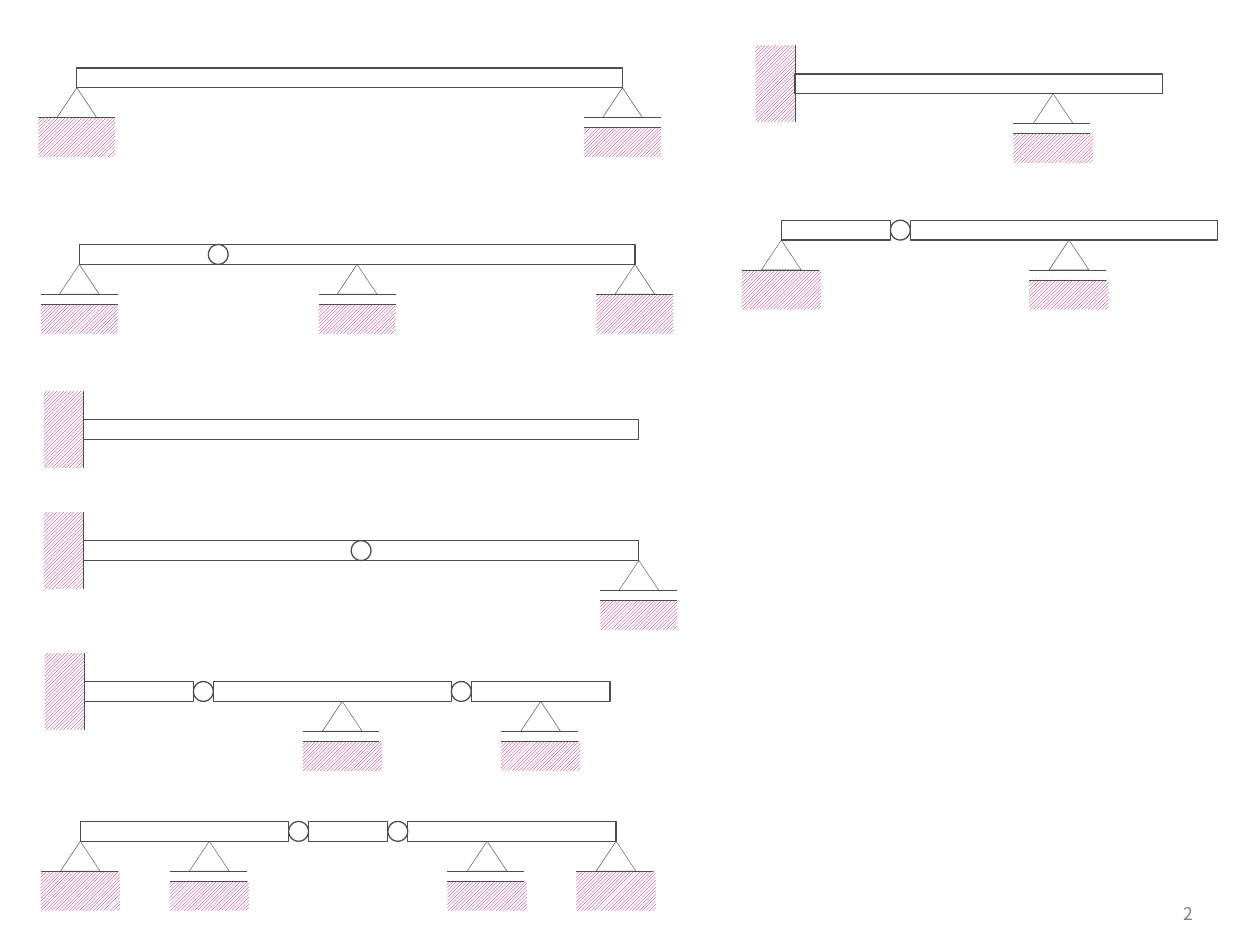
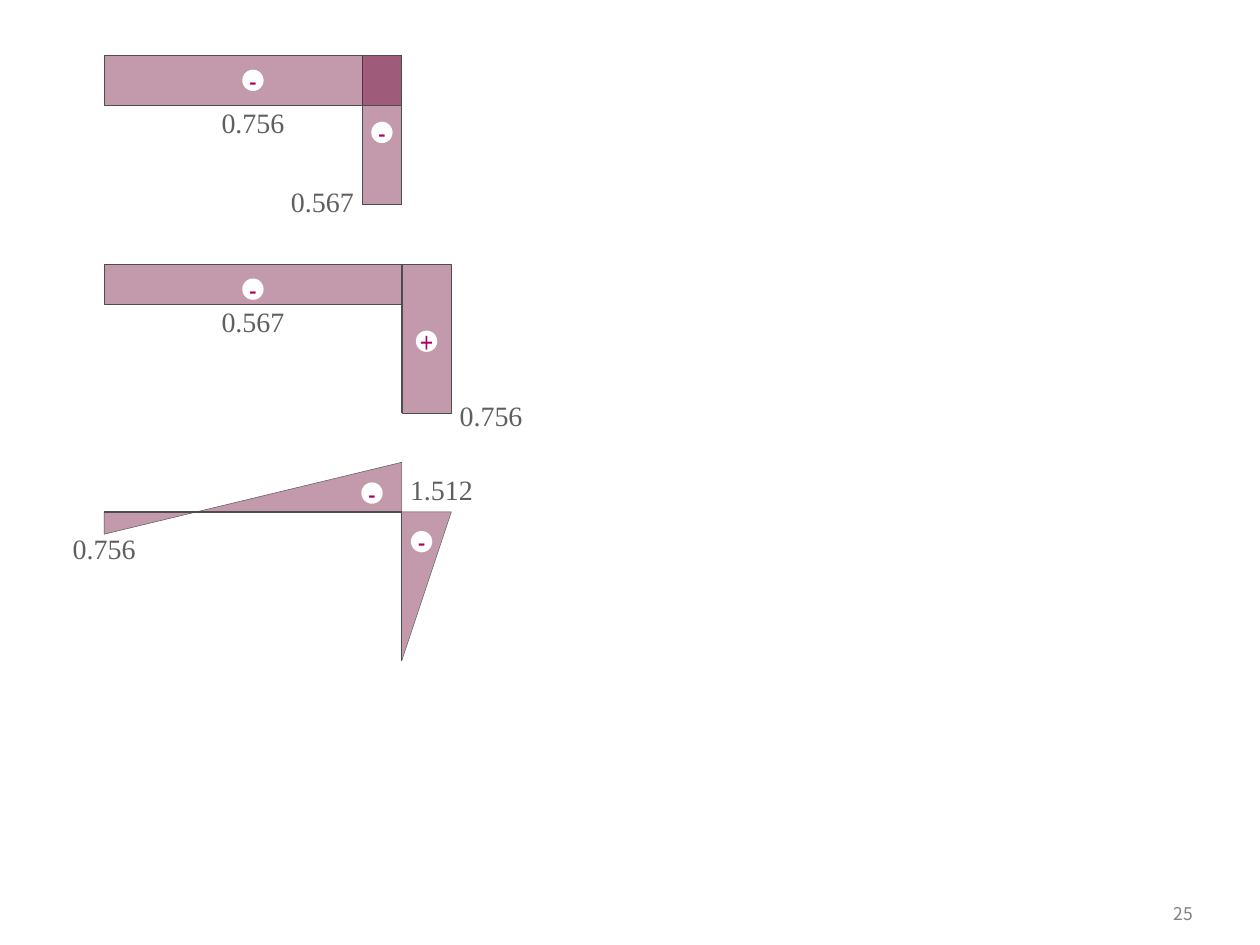
from dataclasses import dataclass
from typing import NamedTuple

from lxml import etree
from pptx import Presentation
from pptx import util as u
from pptx.dml.color import RGBColor
from pptx.enum import dml, shapes, text
from pptx.oxml.ns import qn

Cm = u.Cm
PRESET = shapes.MSO_SHAPE


@dataclass(frozen=True)
class Theme:
    """Colours, fonts and sizes shared by both slides."""
    ink: RGBColor = RGBColor(0x4D, 0x4D, 0x4D)
    accent: RGBColor = RGBColor(0xA9, 0x01, 0x65)
    area: RGBColor = RGBColor(0x6B, 0x01, 0x31)
    paper: RGBColor = RGBColor(0xFF, 0xFF, 0xFF)
    value: RGBColor = RGBColor(0x5F, 0x5F, 0x5F)
    page: RGBColor = RGBColor(0x80, 0x80, 0x80)
    area_opacity: int = 40
    thin: float = 0.25
    normal: float = 0.75
    page_font: str = "Noto Sans CJK KR"
    sign_font: str = "Arial Narrow"
    value_font: str = "Times New Roman"
    page_size: int = 10
    label_size: int = 16


THEME = Theme()

# Sizes in centimetres
DEPTH = 0.4          # beam depth and hinge diameter
FOOT_W, FOOT_H = 0.8, 0.6
PLATE = 1.55         # ground line
GROUND = 0.8         # depth of the hatched ground
ROLLER_GAP = 0.2
FRAME_LEFT, FRAME_SPAN, FRAME_HEIGHT = 2.1, 6, 3
BADGE = 0.43
VALUE_W, VALUE_H = 1.6, 0.69


class Support(NamedTuple):
    kind: str        # "pin", "roller" or "clamp"
    offset: float    # distance from the left end of the beam


@dataclass(frozen=True)
class Beam:
    left: float
    top: float
    spans: tuple[float, ...]           # a hinge joins each span to the next
    supports: tuple[Support, ...]
    inner_hinge: float | None = None   # hinge drawn within a span
    ground_width: float = PLATE


class Area(NamedTuple):
    x: float
    y: float
    width: float
    height: float


class Mark(NamedTuple):
    words: str
    x: float
    y: float


@dataclass(frozen=True)
class Frame:
    top: float
    areas: tuple[Area | tuple, ...]    # rectangles or outlines, from the frame's left top
    signs: tuple[Mark, ...]            # by centre
    values: tuple[Mark, ...]           # by left top corner


BEAMS = (
    Beam(1.55, 1.37, (11,), (Support("roller", 11), Support("pin", 0))),
    Beam(1.6, 4.93, (11.2,),
         (Support("roller", 0), Support("roller", 5.6), Support("pin", 11.2)), 2.8),
    Beam(1.68, 8.46, (11.2,), (Support("clamp", 0),)),
    Beam(1.68, 10.9, (11.2,), (Support("roller", 11.2), Support("clamp", 0)), 5.6),
    Beam(15.75, 4.44, (2.2, 6.2), (Support("roller", 5.8), Support("pin", 0)),
         ground_width=1.6),
    Beam(1.7, 13.74, (2.2, 4.8, 2.8),
         (Support("roller", 5.2), Support("clamp", 0), Support("roller", 9.2)),
         ground_width=1.6),
    Beam(1.62, 16.56, (4.2, 1.6, 4.2),
         (Support("roller", 2.6), Support("pin", 0),
          Support("roller", 8.2), Support("pin", 10.8)), ground_width=1.6),
    Beam(16.03, 1.49, (7.4,), (Support("roller", 5.2), Support("clamp", 0)),
         ground_width=1.6),
)

FRAMES = (
    Frame(1.12, (Area(5.2, 0, 0.8, 3), Area(0, 0, 6, 1)),
          (Mark("-", 5.6, 1.55), Mark("-", 3, 0.5)),
          (Mark("0.756", 2.2, 1), Mark("0.567", 3.6, 2.6))),
    Frame(5.33, (Area(6, 0, 1, 3), Area(0, 0, 6, 0.8)),
          (Mark("+", 6.5, 1.55), Mark("-", 3, 0.5)),
          (Mark("0.756", 7, 2.7), Mark("0.567", 2.2, 0.8))),
    Frame(10.32, (((6, 0), (7, 0), (6, 3)), ((0, 0), (6, 0), (6, -1), (0, 0.45))),
          (Mark("-", 6.4, 0.6), Mark("-", 5.4, -0.38)),
          (Mark("0.756", -0.8, 0.4), Mark("1.512", 6, -0.8))),
)


# Drawing tools
def apply_formats(target, formats: dict) -> None:
    for name, setting in formats.items():
        setattr(target, name, setting)


def set_outline(part, width: float) -> None:
    part.line.color.rgb = THEME.ink
    part.line.width = u.Pt(width)


def add_part(group, preset, x: float, y: float, width: float, height: float,
             outline: float | None = None):
    """Add an unfilled shape; without an outline width it has no line."""
    part = group.shapes.add_shape(preset, Cm(x), Cm(y), Cm(width), Cm(height))
    part.shadow.inherit = False
    part.fill.background()
    if outline is None:
        part.line.fill.background()
    else:
        set_outline(part, outline)
    return part


def add_line(group, x1: float, y1: float, x2: float, y2: float, width: float) -> None:
    line = group.shapes.add_connector(
        shapes.MSO_CONNECTOR.STRAIGHT, Cm(x1), Cm(y1), Cm(x2), Cm(y2))
    set_outline(line, width)
    etree.SubElement(line._element.spPr, qn("a:effectLst"))


def write(box, words: str, align, font: dict, colour: RGBColor, frame: dict) -> None:
    apply_formats(box.text_frame, frame)
    paragraph = box.text_frame.paragraphs[0]
    paragraph.alignment = align
    run = paragraph.add_run()
    run.text = words
    apply_formats(run.font, font)
    run.font.color.rgb = colour


def add_page_number(slide, number: int) -> None:
    box = slide.shapes.add_textbox(Cm(22.5), Cm(18), Cm(1.8), Cm(0.84))
    write(box, str(number), text.PP_ALIGN.RIGHT,
          {"name": THEME.page_font, "size": u.Pt(THEME.page_size)}, THEME.page,
          {"word_wrap": True, "vertical_anchor": text.MSO_ANCHOR.MIDDLE})


# Beams and their supports
def add_ground(group, x: float, y: float, width: float, height: float):
    ground = add_part(group, PRESET.RECTANGLE, x, y, width, height)
    ground.fill.patterned()
    ground.fill.pattern = dml.MSO_PATTERN.LIGHT_UPWARD_DIAGONAL
    ground.fill.fore_color.rgb = THEME.accent
    ground.fill.back_color.rgb = THEME.paper
    return ground


def add_clamp(group, x: float, middle: float) -> None:
    ground = add_ground(group, x - (GROUND + PLATE) / 2, middle - GROUND / 2, PLATE, GROUND)
    ground.rotation = 90
    add_line(group, x, middle - PLATE / 2, x, middle + PLATE / 2, THEME.thin)


def add_foot(group, x: float, top: float, ground_width: float, gap: float) -> None:
    """Add a pin, or a roller when there is a gap above the ground."""
    left, base = x - ground_width / 2, top + FOOT_H
    add_ground(group, left, base + gap, ground_width, GROUND - gap)
    for level in sorted({base, base + gap}):
        add_line(group, left, level, left + PLATE, level, THEME.thin)
    add_part(group, PRESET.ISOSCELES_TRIANGLE, x - FOOT_W / 2, top,
             FOOT_W, FOOT_H, THEME.thin)


def draw_beam(slide, beam: Beam) -> None:
    group = slide.shapes.add_group_shape()
    for support in beam.supports:
        x = beam.left + support.offset
        if support.kind == "clamp":
            add_clamp(group, x, beam.top + DEPTH / 2)
        else:
            gap = ROLLER_GAP if support.kind == "roller" else 0
            add_foot(group, x, beam.top + DEPTH, beam.ground_width, gap)

    hinges = [] if beam.inner_hinge is None else [beam.left + beam.inner_hinge - DEPTH / 2]
    x = beam.left
    for span in beam.spans:
        if x > beam.left:
            hinges.append(x - DEPTH)
        add_part(group, PRESET.RECTANGLE, x, beam.top, span, DEPTH, THEME.normal)
        x += span + DEPTH
    for hinge in hinges:
        add_part(group, PRESET.OVAL, hinge, beam.top, DEPTH, DEPTH, THEME.normal)


# Internal force diagrams on the frame
def add_area(group, area: Area | tuple, top: float) -> None:
    if isinstance(area, Area):
        part = add_part(group, PRESET.RECTANGLE, FRAME_LEFT + area.x, top + area.y,
                        area.width, area.height, THEME.thin)
    else:
        start, *others = [(Cm(FRAME_LEFT + x), Cm(top + y)) for x, y in area]
        outline = group.shapes.build_freeform(*start)
        outline.add_line_segments(others, close=True)
        part = outline.convert_to_shape()
        part.shadow.inherit = False
        set_outline(part, THEME.thin)
    part.fill.solid()
    part.fill.fore_color.rgb = THEME.area
    colour = part._element.spPr.find(qn("a:solidFill"))[0]
    etree.SubElement(colour, qn("a:alpha"), val=str(THEME.area_opacity * 1000))


def add_sign(group, sign: Mark, top: float) -> None:
    badge = add_part(group, PRESET.OVAL, FRAME_LEFT + sign.x - BADGE / 2,
                     top + sign.y - BADGE / 2, BADGE, BADGE)
    badge.fill.solid()
    badge.fill.fore_color.rgb = THEME.paper
    write(badge, sign.words, text.PP_ALIGN.CENTER,
          {"name": THEME.sign_font, "size": u.Pt(THEME.label_size)}, THEME.accent,
          {"word_wrap": False, "vertical_anchor": text.MSO_ANCHOR.MIDDLE})


def add_value(group, value: Mark, top: float) -> None:
    box = group.shapes.add_textbox(Cm(FRAME_LEFT + value.x), Cm(top + value.y),
                                   Cm(VALUE_W), Cm(VALUE_H))
    margins = {f"margin_{side}": 0 for side in ("left", "top", "right", "bottom")}
    write(box, value.words, text.PP_ALIGN.CENTER,
          {"name": THEME.value_font, "size": u.Pt(THEME.label_size)}, THEME.value,
          {"word_wrap": False, **margins})


def draw_frame(slide, frame: Frame) -> None:
    group = slide.shapes.add_group_shape()
    for area, sign in zip(frame.areas, frame.signs):
        add_area(group, area, frame.top)
        add_sign(group, sign, frame.top)
    corner = FRAME_LEFT + FRAME_SPAN
    add_line(group, FRAME_LEFT, frame.top, corner, frame.top, THEME.normal)
    add_line(group, corner, frame.top, corner, frame.top + FRAME_HEIGHT, THEME.normal)
    for value in frame.values:
        add_value(group, value, frame.top)


def main() -> None:
    deck = Presentation()
    deck.slide_width, deck.slide_height = Cm(25.4), Cm(19.05)
    blank = deck.slide_layouts[6]
    for number, draw, items in ((2, draw_beam, BEAMS), (25, draw_frame, FRAMES)):
        slide = deck.slides.add_slide(blank)
        add_page_number(slide, number)
        for item in items:
            draw(slide, item)
    deck.save("out.pptx")


if __name__ == "__main__":
    main()
